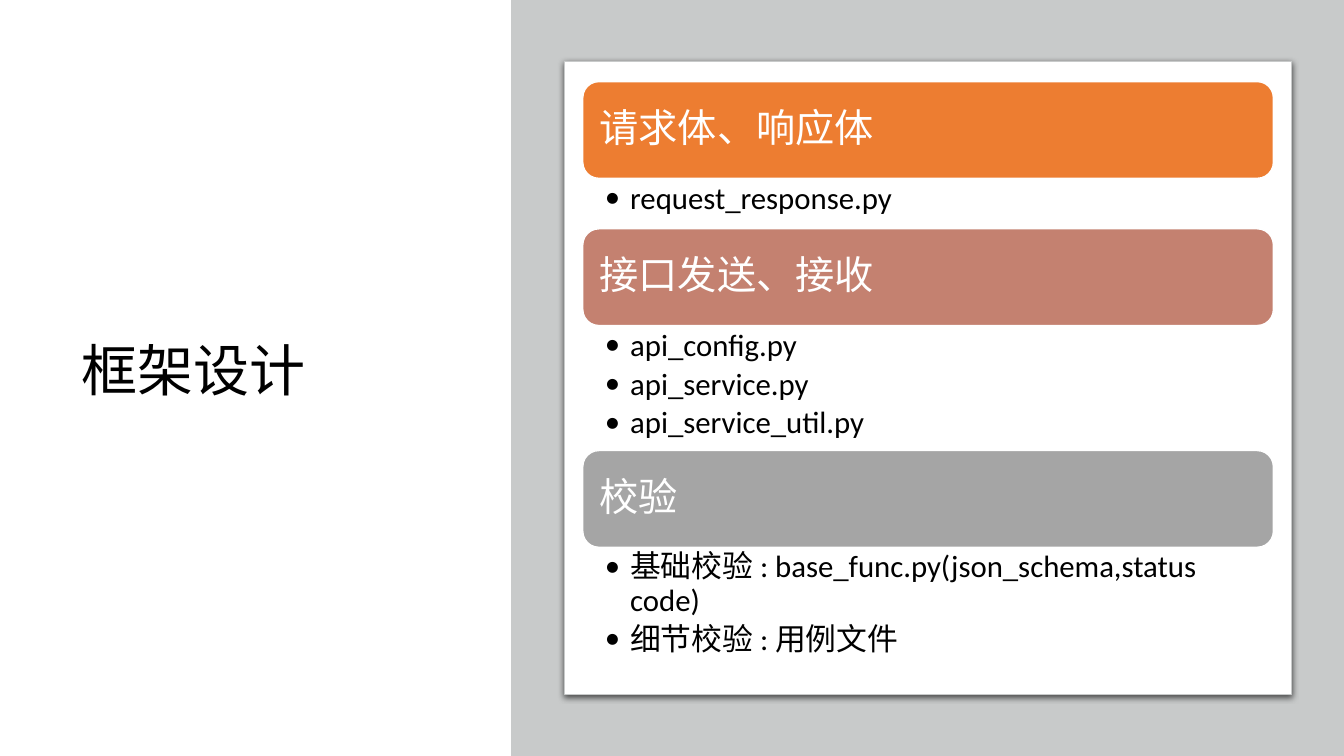
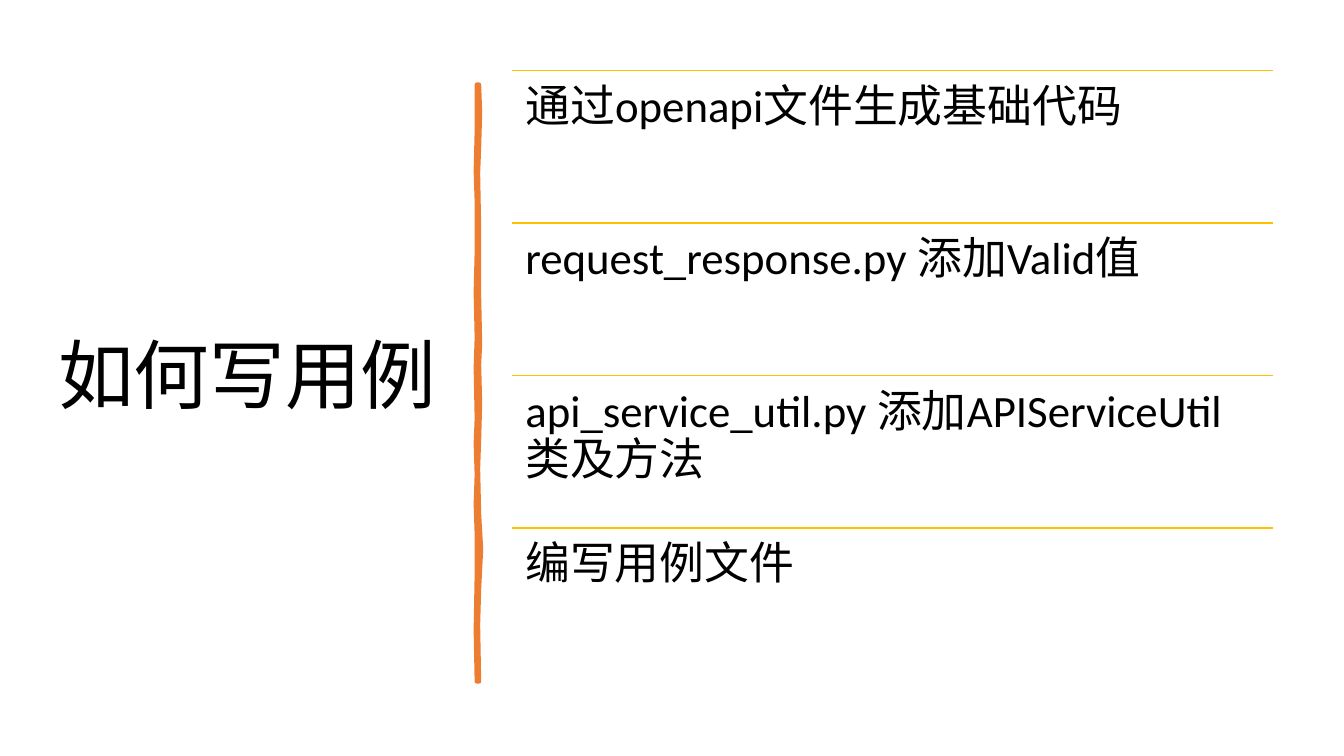
from lxml import etree
from pptx import Presentation
from pptx.dml.color import RGBColor
from pptx.enum.shapes import MSO_CONNECTOR, MSO_SHAPE
from pptx.enum.text import MSO_ANCHOR, PP_ALIGN
from pptx.oxml import parse_xml
from pptx.oxml.ns import nsdecls, qn
from pptx.util import Inches, Pt

RECT, ROUND = MSO_SHAPE.RECTANGLE, MSO_SHAPE.ROUNDED_RECTANGLE
STRAIGHT = MSO_CONNECTOR.STRAIGHT
TOP, MIDDLE, LEFT = MSO_ANCHOR.TOP, MSO_ANCHOR.MIDDLE, PP_ALIGN.LEFT

W, H = 13.33, 7.5
FONT = "Calibri"
BLACK, WHITE, BACKDROP = "000000", "FFFFFF", "C8CACA"
ORANGE, ROSE, GREY, GOLD = "ED7D31", "C48170", "A5A5A5", "FFC000"

DESIGN_TITLE = "框架设计"
MODULES = [
    ("请求体、响应体", ORANGE, 0.5, ["request_response.py"]),
    ("接口发送、接收", ROSE, 1.24,
     ["api_config.py", "api_service.py", "api_service_util.py"]),
    ("校验", GREY, 1.27,
     ["基础校验 : base_func.py(json_schema,status code)", "细节校验 : 用例文件"]),
]
CASE_TITLE = "如何写用例"
STEPS = [
    "通过openapi文件生成基础代码",
    "request_response.py 添加Valid值",
    "api_service_util.py 添加APIServiceUtil类及方法",
    "编写用例文件",
]
BRUSH_RIGHT = [(475, 84), (476, 112), (475, 146), (474, 172), (475, 226),
               (475, 294), (476, 340), (475, 362), (476, 400), (475, 436),
               (474, 465), (475, 510), (477, 545), (475, 584), (474, 620),
               (475, 676)]
BRUSH_LEFT = [(473, 676), (472, 625), (473, 570), (473, 530), (472, 500),
              (473, 471), (472, 440), (473, 415), (472, 365), (473, 335),
              (472, 290), (473, 250), (473, 200), (472, 170), (473, 130),
              (473, 84)]


def rgb(value):
    return RGBColor.from_string(value)


def write(sp, lines, size, color=BLACK, inset=(0.1, 0.05), anchor=TOP,
          after=0, bullet=False):
    tf = sp.text_frame
    tf.word_wrap = True
    tf.vertical_anchor = anchor
    tf.margin_left = tf.margin_right = Inches(inset[0])
    tf.margin_top = tf.margin_bottom = Inches(inset[1])
    tf.text = "\n".join(lines)
    for p in tf.paragraphs:
        p.alignment = LEFT
        p.line_spacing = 0.9
        p.space_after = Pt(after)
        for r in p.runs:
            r.font.name, r.font.size = FONT, Pt(size)
            r.font.color.rgb = rgb(color)
        if bullet:
            pPr = p._p.get_or_add_pPr()
            pPr.set("marL", str(Inches(0.25)))
            pPr.set("indent", str(-Inches(0.25)))
            etree.SubElement(pPr, qn("a:buFont")).set("typeface", FONT)
            etree.SubElement(pPr, qn("a:buChar")).set("char", "•")


def add_text(s, box, lines, size, **style):
    write(s.shapes.add_textbox(*map(Inches, box)), lines, size, **style)


def paint(sp, fill, line=None, width=1):
    sp.shadow.inherit = False
    sp.fill.solid()
    sp.fill.fore_color.rgb = rgb(fill)
    if line:
        sp.line.color.rgb = rgb(line)
        sp.line.width = Pt(width)
    else:
        sp.line.fill.background()


def add_block(s, kind, box, fill, line=None, width=1):
    sp = s.shapes.add_shape(kind, *map(Inches, box))
    paint(sp, fill, line, width)
    return sp


def add_rule(s, x, y, w):
    cx = s.shapes.add_connector(
        STRAIGHT, Inches(x), Inches(y), Inches(x + w), Inches(y))
    cx.line.color.rgb = rgb(GOLD)
    cx.line.width = Pt(1)
    etree.SubElement(cx._element.spPr, qn("a:effectLst"))


def drop_shadow(sp):
    effects = sp._element.spPr.find(qn("a:effectLst"))
    effects.append(parse_xml(
        f'<a:outerShdw {nsdecls("a")} blurRad="{Pt(4.5)}" dist="{Pt(1.5)}" '
        f'dir="5400000" algn="t" rotWithShape="0"><a:srgbClr val="{BLACK}">'
        '<a:alpha val="63000"/></a:srgbClr></a:outerShdw>'))


def new_slide(prs, title, box, size):
    s = prs.slides.add_slide(prs.slide_layouts[6])
    add_text(s, box, [title], size, anchor=MIDDLE)
    return s


def design_slide(prs):
    s = new_slide(prs, DESIGN_TITLE, (0.71, 0.69, 4.01, 6.02), 40)
    add_block(s, RECT, (5.07, 0, W - 5.07, H), BACKDROP)
    card = add_block(s, RECT, (5.6, 0.61, 7.21, 6.28), WHITE, BACKDROP, 0.75)
    drop_shadow(card)
    x, y, w, head_h = 5.78, 0.81, 6.85, 0.96
    for name, color, body_h, files in MODULES:
        head = add_block(s, ROUND, (x, y, w, head_h), color, WHITE)
        write(head, [name], 28, color=WHITE, inset=(0.12, 0.12), anchor=MIDDLE)
        add_text(s, (x, y + head_h, w, body_h), files, 22,
                 inset=(0.22, 0.04), after=4, bullet=True)
        y += head_h + body_h


def case_slide(prs):
    s = new_slide(prs, CASE_TITLE, (0.48, 0.7, 3.95, 6.11), 54)
    outline = BRUSH_RIGHT + BRUSH_LEFT
    fb = s.shapes.build_freeform(*outline[0], scale=Inches(0.01))
    fb.add_line_segments(outline[1:], close=True)
    paint(fb.convert_to_shape(), ORANGE, ORANGE, 3.25)
    x, top, w, bottom = 5.08, 0.7, 7.55, 6.75
    row_h = (bottom - top) / len(STEPS)
    for i, step in enumerate(STEPS):
        y = top + i * row_h
        add_rule(s, x, y, w)
        add_text(s, (x, y, w, row_h), [step], 32, inset=(0.13, 0.13))


def main():
    prs = Presentation()
    prs.slide_width, prs.slide_height = Inches(W), Inches(H)
    design_slide(prs)
    case_slide(prs)
    prs.save("out.pptx")


if __name__ == "__main__":
    main()
